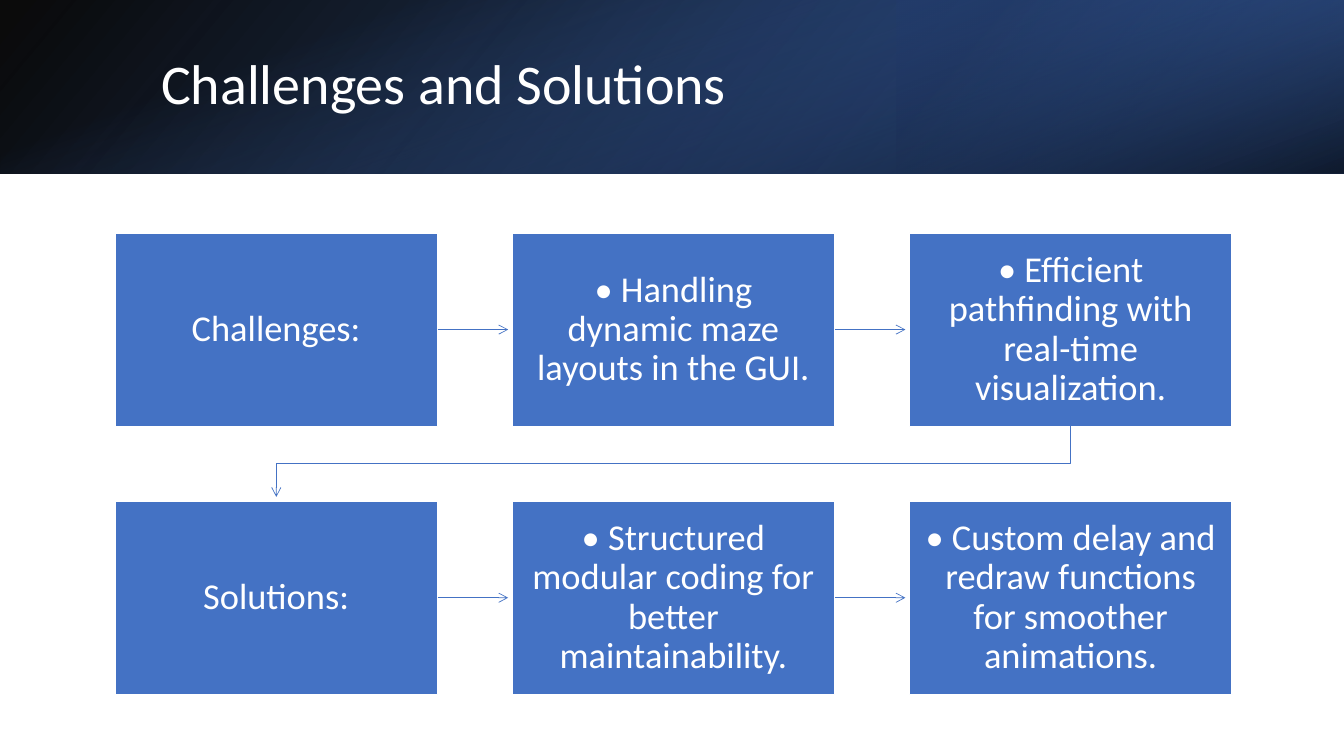
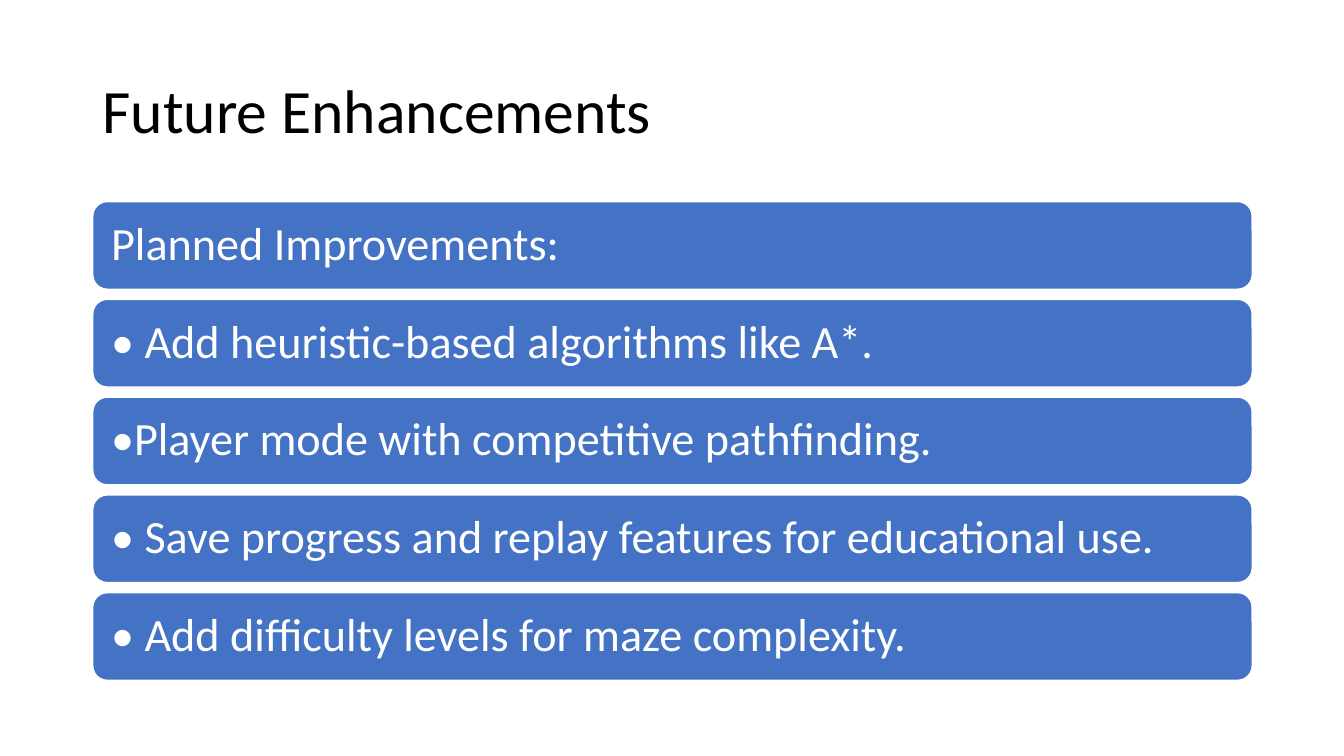
from lxml import etree
from pptx import Presentation
from pptx.dml.color import RGBColor
from pptx.enum.shapes import MSO_CONNECTOR, MSO_SHAPE
from pptx.enum.text import MSO_ANCHOR, PP_ALIGN
from pptx.oxml.ns import qn
from pptx.util import Pt

RECT, ROUND = MSO_SHAPE.RECTANGLE, MSO_SHAPE.ROUNDED_RECTANGLE
STRAIGHT = MSO_CONNECTOR.STRAIGHT
MIDDLE, LEFT, CENTER = MSO_ANCHOR.MIDDLE, PP_ALIGN.LEFT, PP_ALIGN.CENTER
PX = 9144
WIDE, HIGH = 1333, 750
INK = {"blue": "4472C4", "white": "FFFFFF", "black": "000000",
       "navy": "203864", "deep": "2F5597"}

HEAD = "Challenges and Solutions"
FLOW = [
    ["Challenges:", "• Handling dynamic maze layouts in the GUI.",
     "• Efficient pathfinding with real-time visualization."],
    ["Solutions:", "• Structured modular coding for better maintainability.",
     "• Custom delay and redraw functions for smoother animations."],
]
PLAN_HEAD = "Future Enhancements"
PLANS = [
    "Planned Improvements:",
    "• Add heuristic-based algorithms like A*.",
    "•Player mode with competitive pathfinding.",
    "• Save progress and replay features for educational use.",
    "• Add difficulty levels for maze complexity.",
]
BAND = 172
BANDS = [
    {"at": (0, 0, WIDE, BAND), "turn": 0, "flip": True, "angle": 140,
     "stops": [(0, "black", 96), (100, "deep", 100)]},
    {"at": (889, 0, 444, BAND), "turn": 180, "flip": True, "angle": 320,
     "stops": [(19, "navy", 68), (100, "blue", 79)]},
    {"at": ((WIDE - BAND) / 2, (BAND - WIDE) / 2, BAND, WIDE), "turn": 90,
     "flip": False, "angle": 340,
     "stops": [(23, "blue", 0), (99, "black", 74)]},
]
GRID = {"left": 114, "top": 231, "wide": 320, "high": 192, "across": 394, "down": 266}
LIST = {"left": 92, "top": 200, "wide": 1150, "high": 87, "down": 97}
GAP = 4


def emu(*nums):
    """Turn px into EMU."""
    return [round(num * PX) for num in nums]


def rgb(name):
    """Give the named colour."""
    return RGBColor.from_string(INK[name])


def put(item, values):
    """Set each attribute of an item."""
    for name, value in values.items():
        setattr(item, name, value)


def write(shape, text, size, ink, align=LEFT, inset=None):
    """Fill a shape with one styled paragraph."""
    frame = shape.text_frame
    put(frame, {"word_wrap": True, "vertical_anchor": MIDDLE})
    if inset is not None:
        sides = ("left", "top", "right", "bottom")
        put(frame, {f"margin_{side}": inset * PX for side in sides})
    para = frame.paragraphs[0]
    put(para, {"alignment": align, "line_spacing": 0.9})
    run = para.add_run()
    run.text = text
    put(run.font, {"name": "Calibri", "size": Pt(size)})
    run.font.color.rgb = rgb(ink)


def title(slide, text, at, size, ink):
    """Add the slide title."""
    write(slide.shapes.add_textbox(*emu(*at)), text, size, ink)


def box(slide, kind, at, text, size, align, inset):
    """Add a blue box with white text."""
    shape = slide.shapes.add_shape(kind, *emu(*at))
    shape.shadow.inherit = False
    shape.fill.solid()
    shape.fill.fore_color.rgb = rgb("blue")
    shape.line.color.rgb = rgb("white")
    shape.line.width = Pt(1)
    write(shape, text, size, "white", align, inset)
    return shape


def band(slide, at, turn, flip, angle, stops):
    """Add one translucent gradient layer of the header."""
    shape = slide.shapes.add_shape(RECT, *emu(*at))
    shape.shadow.inherit = False
    shape.line.fill.background()
    shape.fill.background()
    shape.rotation = turn
    props = shape.element.spPr
    if flip:
        props.find(qn("a:xfrm")).set("flipH", "1")
    grad = etree.Element(qn("a:gradFill"), rotWithShape="1")
    marks = etree.SubElement(grad, qn("a:gsLst"))
    for place, ink, alpha in stops:
        mark = etree.SubElement(marks, qn("a:gs"), pos=str(place * 1000))
        tint = etree.SubElement(mark, qn("a:srgbClr"), val=INK[ink])
        etree.SubElement(tint, qn("a:alpha"), val=str(alpha * 1000))
    etree.SubElement(grad, qn("a:lin"), ang=str(angle * 60000), scaled="0")
    props.replace(props.find(qn("a:noFill")), grad)


def arrow(shape):
    """Style a line as a thin blue arrow."""
    shape.line.color.rgb = rgb("blue")
    shape.line.width = Pt(0.5)
    props = shape.element.spPr
    etree.SubElement(props.find(qn("a:ln")), qn("a:tailEnd"), type="arrow")
    etree.SubElement(props, qn("a:effectLst"))


def link(slide, start, stop):
    """Point from one box to the next in its row."""
    level = start.top + start.height // 2
    line = slide.shapes.add_connector(
        STRAIGHT, start.left + start.width, level, stop.left - GAP * PX, level)
    line.begin_connect(start, 3)
    arrow(line)


def bend(slide, start, stop):
    """Point from the end of a row to the start of the next."""
    first, last = (item.left + item.width // 2 for item in (start, stop))
    base = start.top + start.height
    level = (base + stop.top) // 2
    path = slide.shapes.build_freeform(first, base)
    path.add_line_segments(
        [(first, level), (last, level), (last, stop.top - GAP * PX)], close=False)
    shape = path.convert_to_shape()
    shape.fill.background()
    arrow(shape)


def flow(slide):
    """Build the challenge and solution flow."""
    for layer in BANDS:
        band(slide, **layer)
    title(slide, HEAD, (150, 38, 1098, 96), 40, "white")
    rows = []
    for row, texts in enumerate(FLOW):
        boxes = []
        for col, text in enumerate(texts):
            at = (GRID["left"] + col * GRID["across"],
                  GRID["top"] + row * GRID["down"], GRID["wide"], GRID["high"])
            boxes.append(box(slide, RECT, at, text, 26, CENTER, 16))
        for start, stop in zip(boxes, boxes[1:]):
            link(slide, start, stop)
        rows.append(boxes)
    for upper, lower in zip(rows, rows[1:]):
        bend(slide, upper[-1], lower[0])


def plans(slide):
    """Build the list of planned work."""
    title(slide, PLAN_HEAD, (92, 40, 1150, 145), 44, "black")
    for row, text in enumerate(PLANS):
        at = (LIST["left"], LIST["top"] + row * LIST["down"],
              LIST["wide"], LIST["high"])
        box(slide, ROUND, at, text, 33, LEFT, 14)


def main():
    """Build and save the slides."""
    deck = Presentation()
    deck.slide_width, deck.slide_height = emu(WIDE, HIGH)
    for build in (flow, plans):
        build(deck.slides.add_slide(deck.slide_layouts[6]))
    deck.save("out.pptx")


if __name__ == "__main__":
    main()
